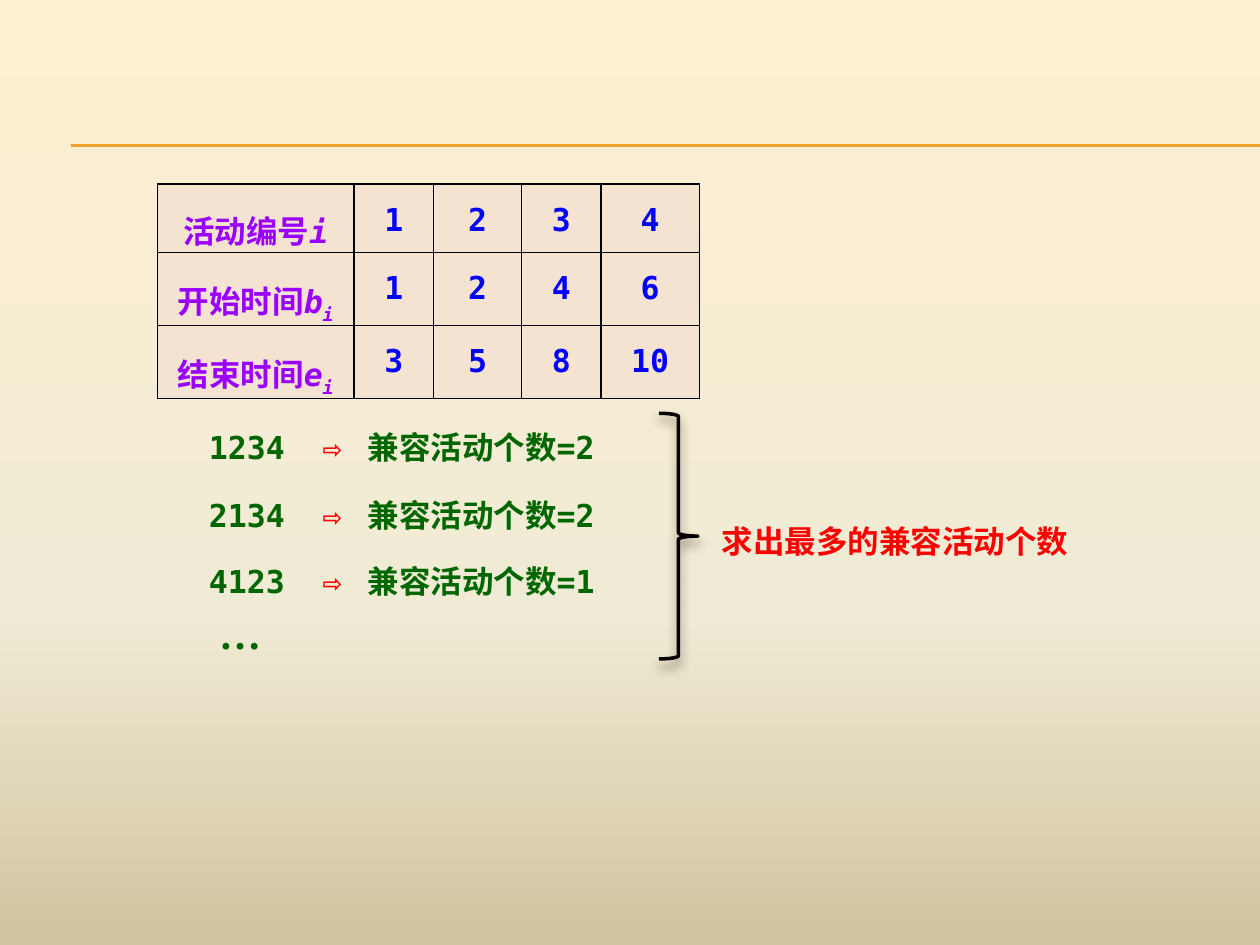
from copy import deepcopy
from dataclasses import dataclass

from lxml.etree import SubElement
from pptx import Presentation
from pptx.dml.color import RGBColor
from pptx.enum.shapes import MSO_CONNECTOR, MSO_SHAPE
from pptx.enum.text import MSO_AUTO_SIZE, PP_ALIGN
from pptx.oxml.ns import qn
from pptx.util import Inches, Pt


@dataclass(frozen=True)
class Theme:
    mono: str = "DejaVu Sans Mono"
    serif: str = "Times New Roman"
    body: int = 18
    ellipsis: int = 24
    background: tuple = ((0, "FFEFD1"), (0.65, "F0EBD5"), (1, "D1C39F"))
    rule: str = "F0A22E"
    cell: str = "F5E3D1"
    label: str = "9900FF"
    number: str = "0000FF"
    result: str = "006600"
    accent: str = "FF0000"
    ink: str = "000000"
    shadow: str = "4E3B30"


@dataclass(frozen=True)
class Span:
    text: str
    color: str
    italic: bool = False
    subscript: bool = False
    font: str = Theme.mono
    size: int = Theme.body


@dataclass(frozen=True)
class Activity:
    label: str
    symbol: str
    subscript: str
    values: tuple


@dataclass(frozen=True)
class Trial:
    order: str
    count: int
    top: float


THEME = Theme()
ACTIVITIES = (
    Activity("活动编号", "i", "", (1, 2, 3, 4)),
    Activity("开始时间", "b", "i", (1, 2, 4, 6)),
    Activity("结束时间", "e", "i", (3, 5, 8, 10)),
)
TRIALS = (Trial("1234", 2, 3.35), Trial("2134", 2, 3.89), Trial("4123", 1, 4.41))
COLUMN_WIDTHS = (1.56, 0.63, 0.7, 0.63, 0.78)
ROW_HEIGHTS = (0.54, 0.58, 0.58)
TAB_STOPS = (0.9, 1.26)


def rgb(color: str) -> RGBColor:
    return RGBColor.from_string(color)


def paint_background(page) -> None:
    fill = page.background.fill
    fill.gradient()
    fill.gradient_angle = 270
    stop_list = next(page.element.iter(qn("a:gsLst")))
    stop_list.append(deepcopy(stop_list[-1]))
    for stop, (position, color) in zip(fill.gradient_stops, THEME.background):
        stop.position = position
        stop.color.rgb = rgb(color)


def add_rule(page, top: float) -> None:
    rule = page.shapes.add_connector(
        MSO_CONNECTOR.STRAIGHT, Inches(0.56), Inches(top), Inches(10), Inches(top))
    rule.line.color.rgb = rgb(THEME.rule)
    rule.line.width = Pt(0.75)
    SubElement(rule.element.spPr, qn("a:effectLst"))


def write_spans(para, spans: list[Span]) -> None:
    for span in spans:
        run = para.add_run()
        run.text = span.text
        font = run.font
        font.name, font.size, font.bold = span.font, Pt(span.size), True
        font.color.rgb = rgb(span.color)
        if span.italic:
            font.italic = True
        if span.subscript:
            run._r.get_or_add_rPr().set("baseline", "-25000")


def add_text(page, left: float, top: float, width: float, height: float,
             spans: list[Span], tabs: tuple = ()) -> None:
    box = page.shapes.add_textbox(Inches(left), Inches(top), Inches(width), Inches(height))
    frame = box.text_frame
    frame.word_wrap = True
    frame.auto_size = MSO_AUTO_SIZE.SHAPE_TO_FIT_TEXT
    para = frame.paragraphs[0]
    if tabs:
        tab_list = SubElement(para._p.get_or_add_pPr(), qn("a:tabLst"))
        for stop in tabs:
            SubElement(tab_list, qn("a:tab"), pos=str(Inches(stop)), algn="l")
    write_spans(para, spans)


def outline_cell(cell) -> None:
    properties = cell._tc.get_or_add_tcPr()
    for side in ("lnL", "lnR", "lnT", "lnB"):
        line = SubElement(properties, qn(f"a:{side}"), w=str(Pt(1)))
        fill = SubElement(line, qn("a:solidFill"))
        SubElement(fill, qn("a:srgbClr"), val=THEME.ink)


def fill_cell(cell, spans: list[Span]) -> None:
    outline_cell(cell)
    cell.fill.solid()
    cell.fill.fore_color.rgb = rgb(THEME.cell)
    cell.margin_left = cell.margin_right = Inches(0.07)
    cell.margin_top = cell.margin_bottom = 0
    para = cell.text_frame.paragraphs[0]
    para.alignment = PP_ALIGN.CENTER
    para.line_spacing = 1.5
    write_spans(para, spans)


def add_activity_table(page) -> None:
    table = page.shapes.add_table(
        len(ACTIVITIES), len(COLUMN_WIDTHS), Inches(1.25), Inches(1.46),
        Inches(sum(COLUMN_WIDTHS)), Inches(sum(ROW_HEIGHTS))).table
    for column, width in zip(table.columns, COLUMN_WIDTHS):
        column.width = Inches(width)
    for row, height, activity in zip(table.rows, ROW_HEIGHTS, ACTIVITIES):
        row.height = Inches(height)
        label = [Span(activity.label, THEME.label),
                 Span(activity.symbol, THEME.label, italic=True)]
        if activity.subscript:
            label.append(Span(activity.subscript, THEME.label, italic=True, subscript=True))
        numbers = [[Span(str(value), THEME.number)] for value in activity.values]
        for cell, spans in zip(row.cells, [label, *numbers]):
            fill_cell(cell, spans)


def add_brace(page) -> None:
    brace = page.shapes.add_shape(
        MSO_SHAPE.RIGHT_BRACE, Inches(5.23), Inches(3.28), Inches(0.31), Inches(1.95))
    brace.fill.background()
    brace.line.color.rgb = rgb(THEME.ink)
    brace.line.width = Pt(2)
    brace.shadow.inherit = False
    effects = brace.element.spPr.find(qn("a:effectLst"))
    shadow = SubElement(effects, qn("a:outerShdw"), blurRad=str(Pt(6)), dist=str(Pt(4)),
                        dir=str(90 * 60000), rotWithShape="0")
    color = SubElement(shadow, qn("a:srgbClr"), val=THEME.shadow)
    SubElement(color, qn("a:alpha"), val="60000")


def main() -> None:
    deck = Presentation()
    deck.slide_width, deck.slide_height = Inches(10), Inches(7.5)
    page = deck.slides.add_slide(deck.slide_layouts[6])
    paint_background(page)
    for top in (1.15, 1.16):
        add_rule(page, top)
    add_activity_table(page)
    for trial in TRIALS:
        add_text(page, 1.56, trial.top, 3.75, 0.4, [
            Span(f"{trial.order}\t", THEME.result),
            Span("⇨\t", THEME.accent),
            Span(f"兼容活动个数={trial.count}", THEME.result),
        ], TAB_STOPS)
    add_text(page, 1.64, 4.77, 1.25, 0.5,
             [Span("…", THEME.result, font=THEME.serif, size=THEME.ellipsis)])
    add_brace(page)
    add_text(page, 5.63, 4.09, 3.36, 0.4, [Span("求出最多的兼容活动个数", THEME.accent)])
    deck.save("out.pptx")


if __name__ == "__main__":
    main()
